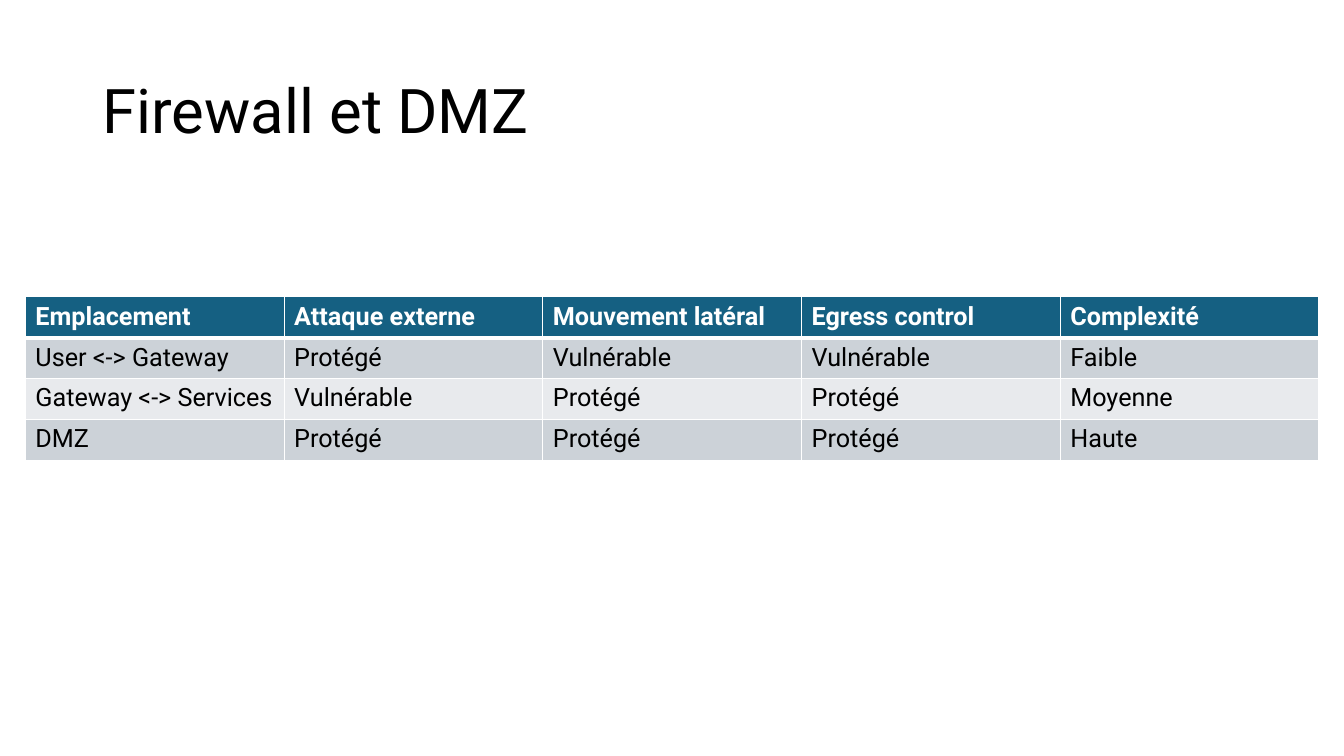
from dataclasses import dataclass

from lxml import etree
from pptx import Presentation
from pptx.dml.color import RGBColor
from pptx.enum import text
from pptx.oxml import ns
from pptx.util import Cm, Pt

# Content
TITLE = "Firewall et DMZ"
ROWS = [
    ("Emplacement", "Attaque externe", "Mouvement latéral", "Egress control", "Complexité"),
    ("User <-> Gateway", "Protégé", "Vulnérable", "Vulnérable", "Faible"),
    ("Gateway <-> Services", "Vulnérable", "Protégé", "Protégé", "Moyenne"),
    ("DMZ", "Protégé", "Protégé", "Protégé", "Haute"),
]


@dataclass(frozen=True)
class Theme:
    font: str = "Roboto"
    title_size: int = 44
    cell_size: int = 18
    dark: str = "000000"
    light: str = "FFFFFF"
    header: str = "156082"
    bands: tuple = ("CCD2D8", "E8EAED")
    border: int = 1
    header_rule: int = 3


THEME = Theme()

# Layout
COL_W, ROW_H = Cm(6.52), Cm(1.03)
TABLE_LEFT, TABLE_TOP = Cm(0.64), Cm(7.48)


def add_run(p, words, size, color, bold=False):
    r = p.add_run()
    r.text = words
    f = r.font
    f.name, f.size, f.bold = THEME.font, Pt(size), bold
    f.color.rgb = RGBColor.from_string(color)


def add_border(cell, side, width):
    tc_pr = cell._tc.get_or_add_tcPr()
    ln = etree.SubElement(tc_pr, ns.qn(f"a:ln{side}"), w=str(Pt(width)))
    fill = etree.SubElement(ln, ns.qn("a:solidFill"))
    etree.SubElement(fill, ns.qn("a:srgbClr"), val=THEME.light)


def format_cell(cell, words, row):
    is_header = row == 0
    # Borders come before the fill in the cell properties
    for side in "LRTB":
        at_rule = (row, side) in ((0, "B"), (1, "T"))
        add_border(cell, side, THEME.header_rule if at_rule else THEME.border)
    cell.fill.solid()
    band = THEME.bands[(row - 1) % len(THEME.bands)]
    cell.fill.fore_color.rgb = RGBColor.from_string(THEME.header if is_header else band)
    color = THEME.light if is_header else THEME.dark
    add_run(cell.text_frame.paragraphs[0], words, THEME.cell_size, color, is_header)


def main():
    prs = Presentation()
    prs.slide_width, prs.slide_height = Cm(33.87), Cm(19.05)
    s = prs.slides.add_slide(prs.slide_layouts[5])

    # Title
    sp = s.shapes.title
    sp.left, sp.top, sp.width, sp.height = Cm(2.33), Cm(1.01), Cm(29.21), Cm(3.68)
    tf = sp.text_frame
    tf.vertical_anchor = text.MSO_ANCHOR.MIDDLE
    p = tf.paragraphs[0]
    p.alignment = text.PP_ALIGN.LEFT
    p.line_spacing = 0.9
    add_run(p, TITLE, THEME.title_size, THEME.dark)

    # Comparison table
    n_rows, n_cols = len(ROWS), len(ROWS[0])
    table = s.shapes.add_table(n_rows, n_cols, TABLE_LEFT, TABLE_TOP,
                               COL_W * n_cols, ROW_H * n_rows).table
    for i, row in enumerate(ROWS):
        for j, words in enumerate(row):
            format_cell(table.cell(i, j), words, i)

    prs.save("out.pptx")


if __name__ == "__main__":
    main()
